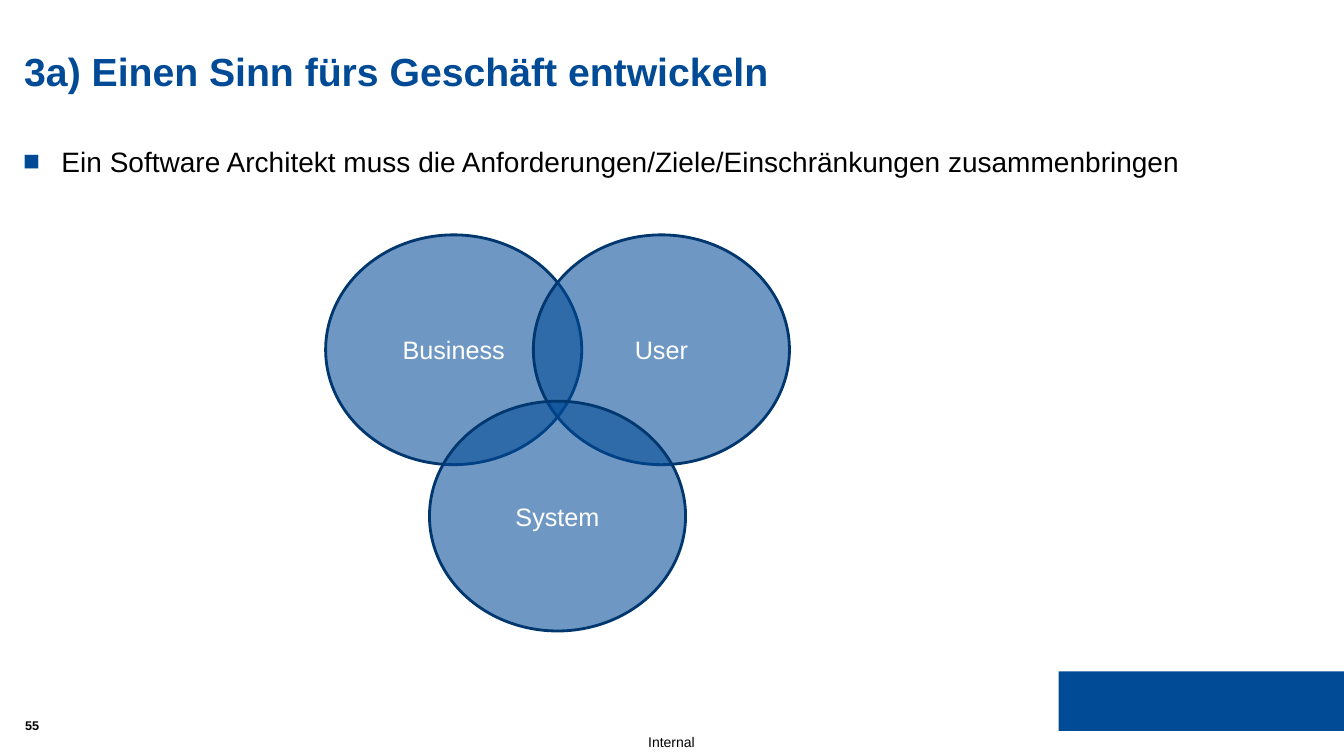
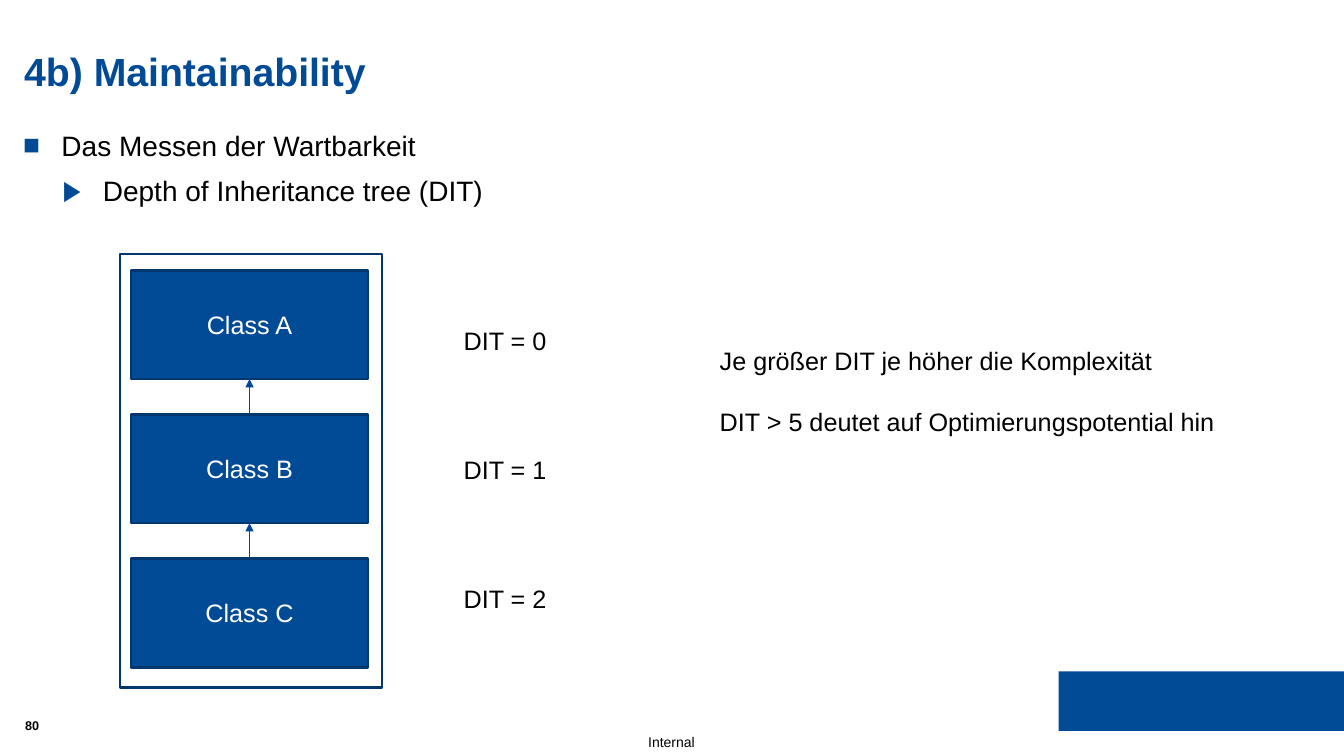
from dataclasses import dataclass

from lxml.etree import SubElement
from pptx import Presentation
from pptx.dml.color import RGBColor
from pptx.enum.shapes import MSO_CONNECTOR, MSO_SHAPE
from pptx.enum.text import MSO_ANCHOR, MSO_AUTO_SIZE, PP_ALIGN
from pptx.oxml.ns import qn
from pptx.presentation import Presentation as Deck
from pptx.shapes.autoshape import Shape
from pptx.slide import Slide
from pptx.text.text import TextFrame, _Paragraph as Paragraph
from pptx.util import Inches, Pt


@dataclass(frozen=True)
class Theme:
    font: str = "Arial"
    blue: str = "004A96"
    outline: str = "00376F"
    arrow: str = "004893"
    black: str = "000000"
    white: str = "FFFFFF"
    title_size: int = 28
    body_size: int = 20
    label_size: int = 18
    footer_size: int = 10
    number_size: int = 9


THEME = Theme()


@dataclass(frozen=True)
class Box:
    left: float
    top: float
    width: float
    height: float

    def lengths(self) -> tuple[Inches, ...]:
        return tuple(map(Inches, (self.left, self.top, self.width, self.height)))


@dataclass(frozen=True)
class BulletLevel:
    symbol: str
    indent: float
    hanging: float
    space_before: int


@dataclass(frozen=True)
class Bullet:
    text: str
    level: int = 0


@dataclass(frozen=True)
class Circle:
    label: str
    left: float
    top: float


LEVELS = (BulletLevel("■", 0.38, 0.38, 0), BulletLevel("▶", 0.79, 0.4, 6))

TITLE_BOX = Box(0.24, 0.47, 12.84, 0.93)
BAND_BOX = Box(10.5, 6.66, 2.83, 0.59)
FOOTER_BOX = Box(6.28, 7.23, 0.76, 0.27)
NUMBER_BOX = Box(0.25, 7.12, 0.42, 0.17)


# Text helpers
def format_paragraph(paragraph: Paragraph, size: int, color: str, bold: bool = False) -> None:
    values = {"name": THEME.font, "size": Pt(size), "bold": bold}
    for name, value in values.items():
        setattr(paragraph.font, name, value)
    paragraph.font.color.rgb = RGBColor.from_string(color)


def format_frame(frame: TextFrame, anchor: MSO_ANCHOR = MSO_ANCHOR.TOP,
                 wrap: bool = True, inset: bool = False) -> None:
    values = {"word_wrap": wrap, "auto_size": MSO_AUTO_SIZE.NONE, "vertical_anchor": anchor}
    if not inset:
        values |= {f"margin_{side}": 0 for side in ("left", "top", "right", "bottom")}
    for name, value in values.items():
        setattr(frame, name, value)


def add_text(slide: Slide, box: Box, text: str, size: int, bold: bool = False,
             align: PP_ALIGN = PP_ALIGN.LEFT, anchor: MSO_ANCHOR = MSO_ANCHOR.TOP) -> None:
    frame = slide.shapes.add_textbox(*box.lengths()).text_frame
    format_frame(frame, anchor)
    paragraph = frame.paragraphs[0]
    paragraph.text, paragraph.alignment = text, align
    format_paragraph(paragraph, size, THEME.black, bold)


def add_note(slide: Slide, box: Box, lines: list[str], gap: int = 0) -> None:
    frame = slide.shapes.add_textbox(*box.lengths()).text_frame
    format_frame(frame, wrap=False, inset=True)
    for index, line in enumerate(lines):
        paragraph = frame.add_paragraph() if index else frame.paragraphs[0]
        paragraph.text = line
        if index:
            paragraph.space_before = Pt(gap)
        format_paragraph(paragraph, THEME.label_size, THEME.black)


def add_bullets(slide: Slide, box: Box, bullets: list[Bullet]) -> None:
    frame = slide.shapes.add_textbox(*box.lengths()).text_frame
    format_frame(frame)
    for index, bullet in enumerate(bullets):
        paragraph = frame.add_paragraph() if index else frame.paragraphs[0]
        level = LEVELS[bullet.level]
        values = {"text": bullet.text, "level": bullet.level, "line_spacing": 1.1,
                  "space_before": Pt(level.space_before)}
        for name, value in values.items():
            setattr(paragraph, name, value)
        properties = paragraph._p.get_or_add_pPr()
        properties.set("marL", str(Inches(level.indent)))
        properties.set("indent", str(-Inches(level.hanging)))
        color = SubElement(properties, qn("a:buClr"))
        SubElement(color, qn("a:srgbClr"), val=THEME.blue)
        SubElement(properties, qn("a:buFont"), typeface=THEME.font)
        SubElement(properties, qn("a:buChar"), char=level.symbol)
        format_paragraph(paragraph, THEME.body_size, THEME.black)


# Shape helpers
def add_shape(slide: Slide, kind: MSO_SHAPE, box: Box, label: str = "",
              filled: bool = True, outlined: bool = True) -> Shape:
    shape = slide.shapes.add_shape(kind, *box.lengths())
    shape.shadow.inherit = False
    if filled:
        shape.fill.solid()
        shape.fill.fore_color.rgb = RGBColor.from_string(THEME.blue)
    else:
        shape.fill.background()
    if outlined:
        shape.line.color.rgb = RGBColor.from_string(THEME.outline)
        shape.line.width = Pt(2)
    else:
        shape.line.fill.background()
    if label:
        format_frame(shape.text_frame, MSO_ANCHOR.MIDDLE, inset=True)
        paragraph = shape.text_frame.paragraphs[0]
        paragraph.text, paragraph.alignment = label, PP_ALIGN.CENTER
        format_paragraph(paragraph, THEME.label_size, THEME.white)
    return shape


def set_opacity(shape: Shape, percent: int) -> None:
    color = shape._element.spPr.find(qn("a:solidFill")).find(qn("a:srgbClr"))
    SubElement(color, qn("a:alpha"), val=str(percent * 1000))


def add_up_arrow(slide: Slide, x: float, start: float, end: float) -> None:
    arrow = slide.shapes.add_connector(
        MSO_CONNECTOR.STRAIGHT, Inches(x), Inches(start), Inches(x), Inches(end))
    arrow.line.color.rgb = RGBColor.from_string(THEME.arrow)
    arrow.line.width = Pt(0.75)
    SubElement(arrow.line._get_or_add_ln(), qn("a:tailEnd"), type="triangle")
    SubElement(arrow._element.spPr, qn("a:effectLst"))


# Shared slide frame: band, footer, title and number
def add_slide(presentation: Deck, title: str, number: int) -> Slide:
    slide = presentation.slides.add_slide(presentation.slide_layouts[5])
    add_shape(slide, MSO_SHAPE.RECTANGLE, BAND_BOX, outlined=False)
    add_text(slide, FOOTER_BOX, "Internal", THEME.footer_size,
             align=PP_ALIGN.CENTER, anchor=MSO_ANCHOR.MIDDLE)
    placeholder = slide.shapes.title
    for name, value in zip(("left", "top", "width", "height"), TITLE_BOX.lengths()):
        setattr(placeholder, name, value)
    format_frame(placeholder.text_frame)
    paragraph = placeholder.text_frame.paragraphs[0]
    paragraph.text, paragraph.alignment = title, PP_ALIGN.LEFT
    format_paragraph(paragraph, THEME.title_size, THEME.blue, bold=True)
    add_text(slide, NUMBER_BOX, str(number), THEME.number_size, bold=True)
    return slide


# Overlapping circles
def build_business_slide(presentation: Deck) -> None:
    slide = add_slide(presentation, "3a) Einen Sinn fürs Geschäft entwickeln", 55)
    add_bullets(slide, Box(0.23, 1.4, 12.85, 4.27), [
        Bullet("Ein Software Architekt muss die Anforderungen/Ziele/Einschränkungen zusammenbringen")])
    circles = (Circle("Business", 3.23, 2.33), Circle("User", 5.29, 2.33),
               Circle("System", 4.26, 3.98))
    for circle in circles:
        box = Box(circle.left, circle.top, 2.54, 2.28)
        set_opacity(add_shape(slide, MSO_SHAPE.OVAL, box, circle.label), 57)


# Inheritance chain with depth labels
def build_maintainability_slide(presentation: Deck) -> None:
    slide = add_slide(presentation, "4b) Maintainability", 80)
    add_bullets(slide, Box(0.23, 1.24, 12.85, 5.27), [
        Bullet("Das Messen der Wartbarkeit"),
        Bullet("Depth of Inheritance tree (DIT)", level=1)])
    add_shape(slide, MSO_SHAPE.RECTANGLE, Box(1.19, 2.52, 2.6, 4.3), filled=False)
    first, step = Box(1.3, 2.68, 2.35, 1.08), 1.43
    for depth, name in enumerate("ABC"):
        top = first.top + depth * step
        box = Box(first.left, top, first.width, first.height)
        add_shape(slide, MSO_SHAPE.RECTANGLE, box, f"Class {name}")
        if depth:
            add_up_arrow(slide, first.left + first.width / 2, top, top - step + first.height)
        add_note(slide, Box(4.5, 3.18 + depth * 1.28, 1.03, 0.4), [f"DIT = {depth}"])
    add_note(slide, Box(7.04, 3.38, 5.16, 1.01), [
        "Je größer DIT je höher die Komplexität",
        "DIT > 5 deutet auf Optimierungspotential hin"], gap=22)


def main() -> None:
    presentation = Presentation()
    presentation.slide_width = Inches(13.33)
    presentation.slide_height = Inches(7.5)
    build_business_slide(presentation)
    build_maintainability_slide(presentation)
    presentation.save("out.pptx")


if __name__ == "__main__":
    main()
